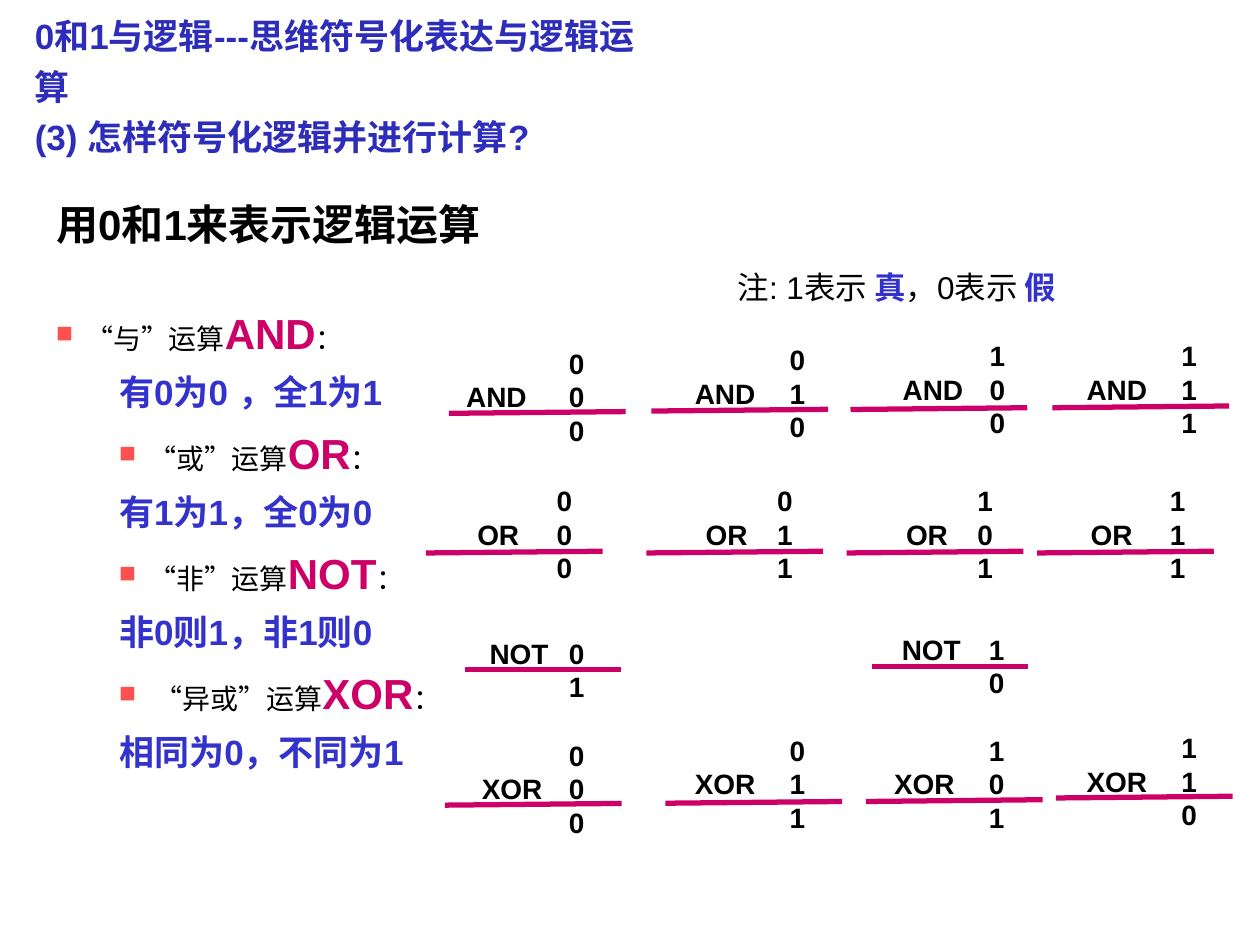
from lxml import etree
from pptx import Presentation
from pptx import util as u
from pptx.dml.color import RGBColor
from pptx.enum import shapes, text
from pptx.oxml.ns import qn

Pt = u.Pt
COLORS = {
    "title": "2D2DB9",
    "rule": "3333CC",
    "operator": "CC0066",
    "bullet": "FF5050",
    "ink": "000000",
}
LATIN, CJK = "Arial", "Noto Sans CJK SC"
LEADING = 1.2  # line height per point of type size
SPACE = 4.45  # width of a space at 16 pt
DIGIT_TAB = 72
SUM_WIDTH = 100  # leaves room for a digit after the tab


def add_text(left, top, width, height):
    """Add a wrapping text box that grows with its text."""
    frame = slide.shapes.add_textbox(Pt(left), Pt(top), Pt(width), Pt(height)).text_frame
    frame.word_wrap = True
    frame.auto_size = text.MSO_AUTO_SIZE.SHAPE_TO_FIT_TEXT
    return frame


def style(font, size, color, bold, name=LATIN):
    font.size, font.bold, font.name = Pt(size), bold, name
    font.color.rgb = RGBColor.from_string(COLORS[color])


prs = Presentation()
prs.slide_width, prs.slide_height = Pt(720), Pt(540)
slide = prs.slides.add_slide(prs.slide_layouts[6])

# Title
title = add_text(12.8, 0, 376.5, 65)
for i, line in enumerate(["0和1与逻辑---思维符号化表达与逻辑运算", "(3) 怎样符号化逻辑并进行计算?"]):
    par = title.paragraphs[0] if i == 0 else title.add_paragraph()
    par.line_spacing = Pt(20 * LEADING * 1.2)
    par.add_run().text = line
    style(par.font, 20, "title", True)

# Heading and the rule of each operation
body = add_text(25, 101.2, 336.2, 344)
heading = body.paragraphs[0]
heading.line_spacing = Pt(24 * LEADING * 1.3)
heading.add_run().text = "用0和1来表示逻辑运算"
style(heading.font, 24, "ink", True)

# Chinese name, operator, rule, bullet indent, gap from bullet to text
operations = [
    ("与", "AND", "有0为0 ，全1为1", 0, 16.6),
    ("或", "OR", "有1为1，全0为0", 36, 16.6),
    ("非", "NOT", "非0则1，非1则0", 36, 16.6),
    ("异或", "XOR", "相同为0，不同为1", 36, 20.4),
]
for i, (chinese, operator, rule, indent, hang) in enumerate(operations):
    par = body.add_paragraph()
    par.line_spacing = Pt(24 * LEADING * 1.3)
    if i == 0:
        par.space_before = Pt(24.8)
    props = par._p.get_or_add_pPr()
    props.set("marL", str(Pt(indent + hang)))
    props.set("indent", str(Pt(-hang)))
    bullet_color = etree.SubElement(props, qn("a:buClr"))
    etree.SubElement(bullet_color, qn("a:srgbClr"), val=COLORS["bullet"])
    etree.SubElement(props, qn("a:buFont"), typeface=LATIN)
    etree.SubElement(props, qn("a:buChar"), char="■")
    for words, size, color, name in [
        ("“", 16, "ink", CJK),
        (chinese, 16, "ink", LATIN),
        ("”", 16, "ink", CJK),
        ("运算", 16, "ink", LATIN),
        (operator, 24, "operator", LATIN),
        ("：", 16, "ink", LATIN),
    ]:
        run = par.add_run()
        run.text = words
        style(run.font, size, color, words == operator, name)

    par = body.add_paragraph()
    par.line_spacing = Pt(20 * LEADING * 1.3)
    par._p.get_or_add_pPr().set("marL", str(Pt(36)))
    par.add_run().text = rule
    style(par.font, 20, "rule", True)

# Note on the meaning of 1 and 0
note = add_text(414.4, 149.8, 198.7, 29).paragraphs[0]
note.line_spacing = Pt(18 * LEADING)
for words, color in [("注: 1表示 ", "ink"), ("真", "rule"), ("，0表示 ", "ink"), ("假", "rule")]:
    run = note.add_run()
    run.text = words
    style(run.font, 18, color, color == "rule")

# Worked sums: operator, bar length, bar rise, then for each sum
# its digits, left, top, operator indent in spaces, bar start x and y
sums = [
    ("AND", 101, 1, [
        ("000", 246, 194.4, 3, 256.5, 236.2),
        ("010", 372.2, 192.2, 4, 372.2, 234.9),
        ("100", 486.5, 190.1, 5, 486, 234),
        ("111", 596, 190.1, 4, 601.4, 233),
    ]),
    ("OR", 101, 1, [
        ("000", 239, 272.9, 6, 243.4, 316),
        ("011", 365, 272.9, 7, 369.4, 316),
        ("101", 479.5, 272.9, 7, 483.8, 316),
        ("111", 589.5, 272.9, 6, 592.6, 316),
    ]),
    ("NOT", 89.3, 0, [
        ("01", 246, 360, 6, 265.7, 382.4),
        ("10", 486, 357.8, 5, 498.2, 380.7),
    ]),
    ("XOR", 101, 1, [
        ("000", 246, 418.3, 5, 254.2, 460.1),
        ("011", 372.2, 415.4, 4, 380.2, 459),
        ("101", 486, 415.4, 4, 494.8, 458),
        ("110", 596, 414, 4, 603.4, 456),
    ]),
]
for operator, length, rise, cells in sums:
    for digits, left, top, spaces, bar_x, bar_y in cells:
        frame = add_text(left, top, SUM_WIDTH, 7.2 + 19.2 * len(digits))
        for i, digit in enumerate(digits):
            par = frame.paragraphs[0] if i == 0 else frame.add_paragraph()
            par.line_spacing = Pt(16 * LEADING)
            has_operator = i == len(digits) - 2
            stops = [spaces * SPACE, DIGIT_TAB] if has_operator else [DIGIT_TAB]
            tabs = etree.SubElement(par._p.get_or_add_pPr(), qn("a:tabLst"))
            for stop in stops:
                etree.SubElement(tabs, qn("a:tab"), pos=str(Pt(stop)), algn="l")
            par.add_run().text = f"\t{operator}\t{digit}" if has_operator else f"\t{digit}"
            style(par.font, 16, "ink", True)
        bar = slide.shapes.add_connector(
            shapes.MSO_CONNECTOR.STRAIGHT,
            Pt(bar_x), Pt(bar_y), Pt(bar_x + length), Pt(bar_y - rise))
        bar.line.color.rgb = RGBColor.from_string(COLORS["operator"])
        bar.line.width = Pt(3)
        etree.SubElement(bar._element.spPr, qn("a:effectLst"))

prs.save("out.pptx")
